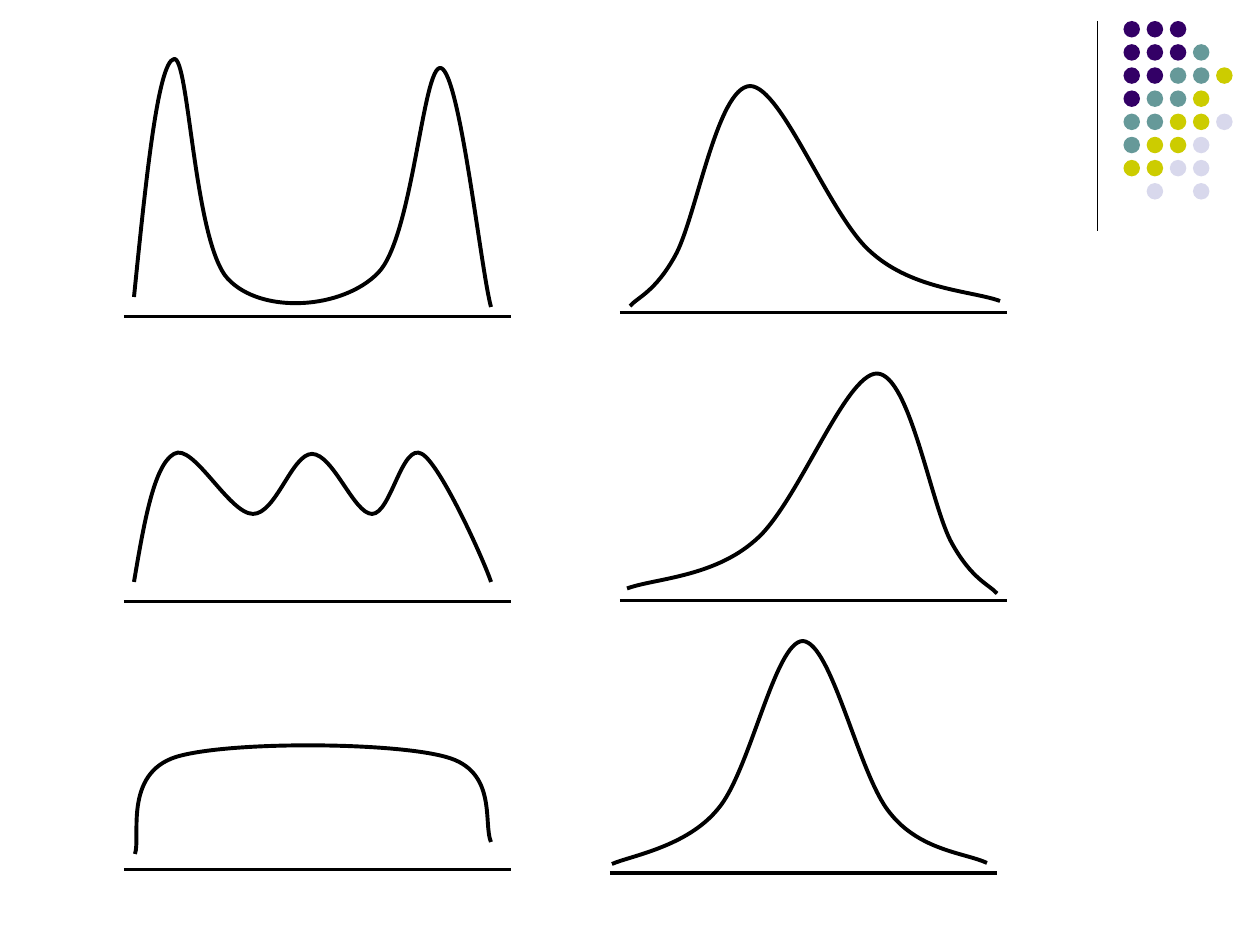
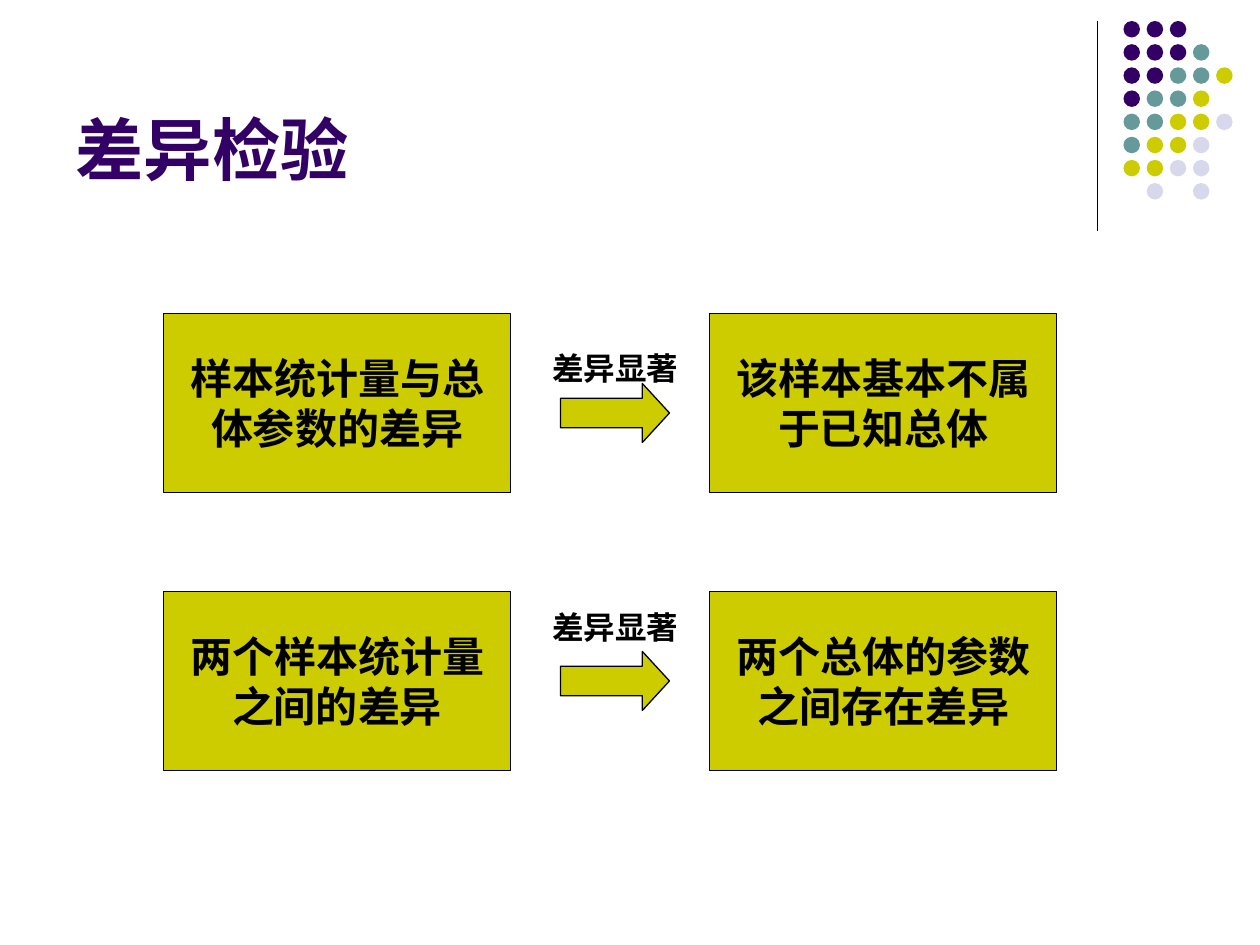
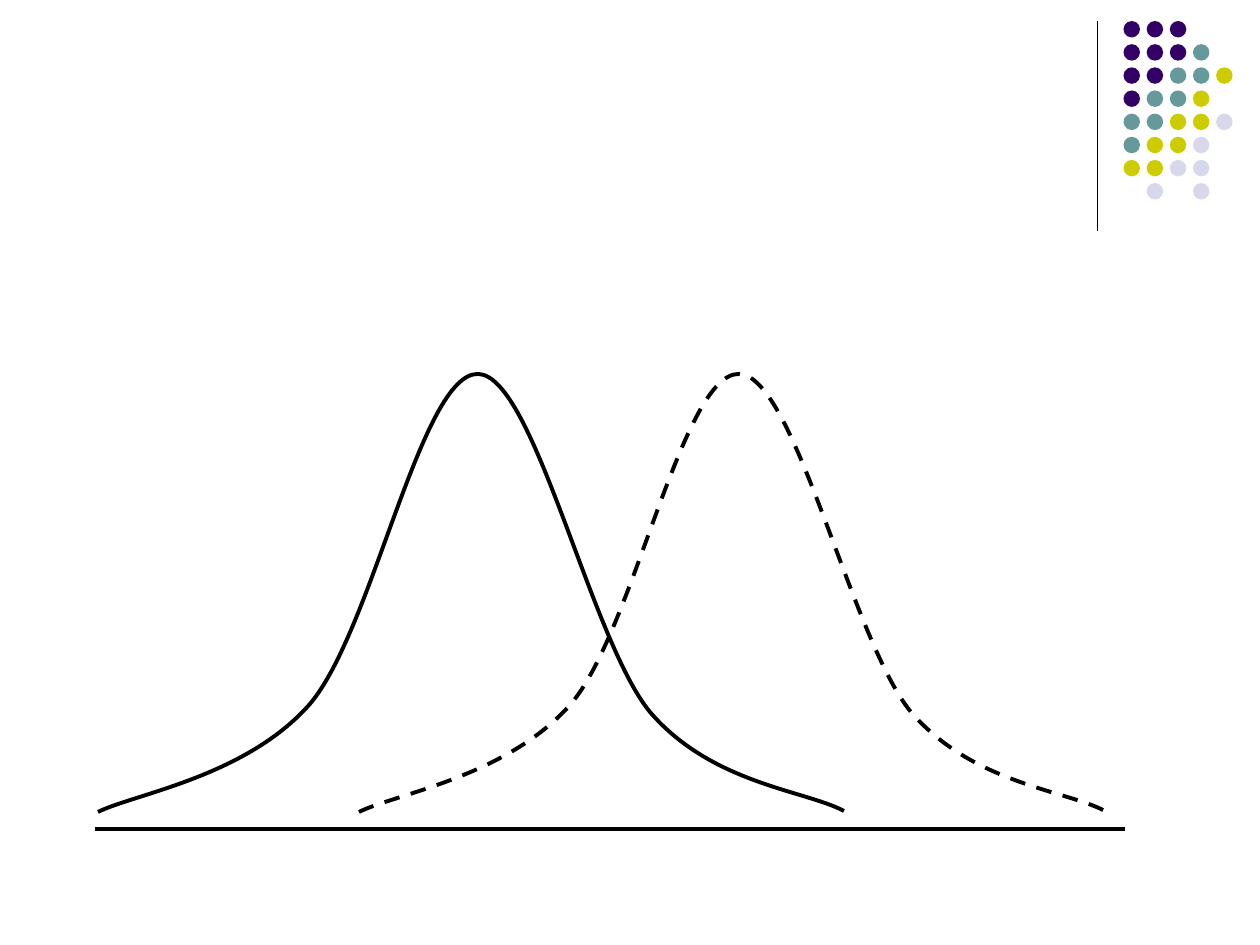
from pptx import Presentation
from pptx import util as u
from pptx.dml.color import RGBColor
from pptx.enum import dml, shapes, text
from pptx.oxml.ns import qn
from lxml import etree

PX = 914400 / 126
WIDE, HIGH = 1260, 945
INK = {"purple": "330066", "teal": "669999", "olive": "CCCC00",
       "pale": "D8D8EC", "black": "000000"}

# Corner motif: one letter per dot
DOTS = ["PPP", "PPPT", "PPTTO", "PTTO", "TTOOL", "TOOL", "OOLL", " L L"]
KEYS = {"P": "purple", "T": "teal", "O": "olive", "L": "pale"}
DOT, PITCH, DOT_X, DOT_Y = 16.5, 23.15, 1123.5, 21

# Each curve is a start point, then three Bezier points per section
TWIN = [(134, 297), (146, 179), (158, 62), (174, 59),
        (189, 55), (194, 243), (228, 279), (262, 315), (343, 309), (378, 273),
        (413, 238), (423, 63), (441, 68), (460, 74), (481, 271), (491, 307)]
WAVE = [(134, 582), (144, 523), (154, 465), (174, 454),
        (193, 442), (229, 514), (253, 514), (276, 514), (292, 454), (312, 454),
        (333, 454), (354, 514), (372, 514), (391, 514), (402, 442), (422, 454),
        (441, 465), (485, 563), (491, 582)]
FLAT = [(135, 854), (141, 838), (123, 774), (176, 757),
        (228, 741), (393, 742), (446, 757), (498, 771), (483, 824), (491, 842)]
SKEW = [(630, 306), (638, 297), (655, 292), (675, 256),
        (696, 219), (717, 87), (750, 86), (782, 86), (830, 218), (872, 253),
        (914, 290), (973, 291), (1000, 301)]
BELL = [(612, 864), (630, 856), (687, 847), (718, 809),
        (750, 772), (775, 641), (803, 641), (832, 643), (859, 776), (890, 813),
        (920, 851), (966, 853), (987, 863)]
MAIN = [(98, 812), (134, 794), (246, 777), (310, 704),
        (373, 630), (421, 373), (478, 374), (534, 375), (590, 639), (650, 712),
        (712, 784), (804, 790), (844, 811)]
LEFT = [(1627 - x, y + 287.5) for x, y in SKEW]
SHIFT = 261

# Curve, then left, right and height of its base line
FORMS = [(TWIN, 124, 511, 316.5), (FLAT, 124, 511, 869.5),
         (WAVE, 124, 511, 601.5), (BELL, 610, 997, 873),
         (SKEW, 620, 1007, 312.5), (LEFT, 620, 1007, 600.5)]

TITLE = "差异检验"
LABEL = "差异显著"
# Box top, label top, arrow top, cause, result
TESTS = [(313.5, 343, 383.5, "样本统计量与总体参数的差异", "该样本基本不属于已知总体"),
         (591.5, 602, 651.5, "两个样本统计量之间的差异", "两个总体的参数之间存在差异")]


def emu(*vals):
    return [round(v * PX) for v in vals]


def rgb(name):
    return RGBColor.from_string(INK[name])


def stroke(shape, width, dash=False):
    shape.line.color.rgb = rgb("black")
    shape.line.width = u.Pt(width)
    if dash:
        shape.line.dash_style = dml.MSO_LINE.DASH


def rule(slide, x1, y1, x2, y2, width):
    line = slide.shapes.add_connector(shapes.MSO_CONNECTOR.STRAIGHT,
                                      *emu(x1, y1, x2, y2))
    stroke(line, width)
    etree.SubElement(line._element.spPr, qn("a:effectLst"))
    return line


def block(owner, kind, box, fill, width=0):
    shape = owner.shapes.add_shape(kind, *emu(*box))
    shape.shadow.inherit = False
    shape.fill.solid()
    shape.fill.fore_color.rgb = rgb(fill)
    if width:
        stroke(shape, width)
    else:
        shape.line.fill.background()
    return shape


def write(shape, words, size, font="DejaVu Sans", ink="black", wrap=True,
          align=text.PP_ALIGN.CENTER, anchor=text.MSO_ANCHOR.MIDDLE):
    frame = shape.text_frame
    frame.auto_size = text.MSO_AUTO_SIZE.NONE
    frame.word_wrap = wrap
    frame.vertical_anchor = anchor
    para = frame.paragraphs[0]
    para.alignment = align
    run = para.add_run()
    run.text = words
    run.font.name, run.font.size, run.font.bold = font, u.Pt(size), True
    run.font.color.rgb = rgb(ink)


def bend(shape):
    """Join each three straight sections into one cubic Bezier section."""
    track = next(shape._element.iter(qn("a:path")))
    lines = track.findall(qn("a:lnTo"))
    for i in range(0, len(lines), 3):
        arc = etree.SubElement(track, qn("a:cubicBezTo"))
        for line in lines[i:i + 3]:
            arc.append(line[0])
            track.remove(line)


def curve(slide, nodes, dash=False):
    pts = [emu(*p) for p in nodes]
    pen = slide.shapes.build_freeform(*pts[0])
    pen.add_line_segments(pts[1:], close=False)
    shape = pen.convert_to_shape()
    bend(shape)
    shape.shadow.inherit = False
    shape.fill.background()
    stroke(shape, 2.25, dash)


def new_slide(deck, layout):
    return deck.slides.add_slide(deck.slide_layouts.get_by_name(layout))


def set_motif(deck, slide):
    """Draw the corner motif on a slide, then move it to the master."""
    line = rule(slide, 1097.5, 21, 1097.5, 231, 0.75)
    group = slide.shapes.add_group_shape()
    for row, marks in enumerate(DOTS):
        for col, mark in enumerate(marks):
            if mark in KEYS:
                box = (DOT_X + col * PITCH, DOT_Y + row * PITCH, DOT, DOT)
                block(group, shapes.MSO_SHAPE.OVAL, box, KEYS[mark])
    tree = deck.slide_master.shapes._spTree
    for part in (line, group):
        for tag in part._element.iter(qn("p:cNvPr")):
            tag.set("id", str(int(tag.get("id")) + 100))
        tree.append(part._element)


def draw_forms(deck):
    slide = new_slide(deck, "Blank")
    set_motif(deck, slide)
    for nodes, x1, x2, y in FORMS:
        rule(slide, x1, y, x2, y, 2.25)
        curve(slide, nodes)


def draw_tests(deck):
    slide = new_slide(deck, "Title Only")
    head = slide.shapes.title
    head.left, head.top, head.width, head.height = emu(63, 16, 1040, 179)
    write(head, TITLE, 39, "Arial", "purple",
          align=text.PP_ALIGN.LEFT, anchor=text.MSO_ANCHOR.BOTTOM)
    for top, label_y, arrow_y, cause, result in TESTS:
        for x, words in ((163.5, cause), (709.5, result)):
            box = block(slide, shapes.MSO_SHAPE.RECTANGLE,
                        (x, top, 347, 179), "olive", 0.75)
            write(box, words, 24)
        arrow = block(slide, shapes.MSO_SHAPE.RIGHT_ARROW,
                      (560.5, arrow_y, 109, 59), "olive", 0.75)
        arrow.adjustments[1] = 0.46
        label = slide.shapes.add_textbox(*emu(551, label_y, 129, 49))
        write(label, LABEL, 18, wrap=False)


def draw_shift(deck):
    slide = new_slide(deck, "Blank")
    for dx in (0, SHIFT):
        rule(slide, 94.5 + dx, 829, 864.5 + dx, 829, 2.25)
        curve(slide, [(x + dx, y) for x, y in MAIN], dash=dx > 0)


def main():
    deck = Presentation()
    deck.slide_width, deck.slide_height = emu(WIDE, HIGH)
    draw_forms(deck)
    draw_tests(deck)
    draw_shift(deck)
    deck.save("out.pptx")


if __name__ == "__main__":
    main()
